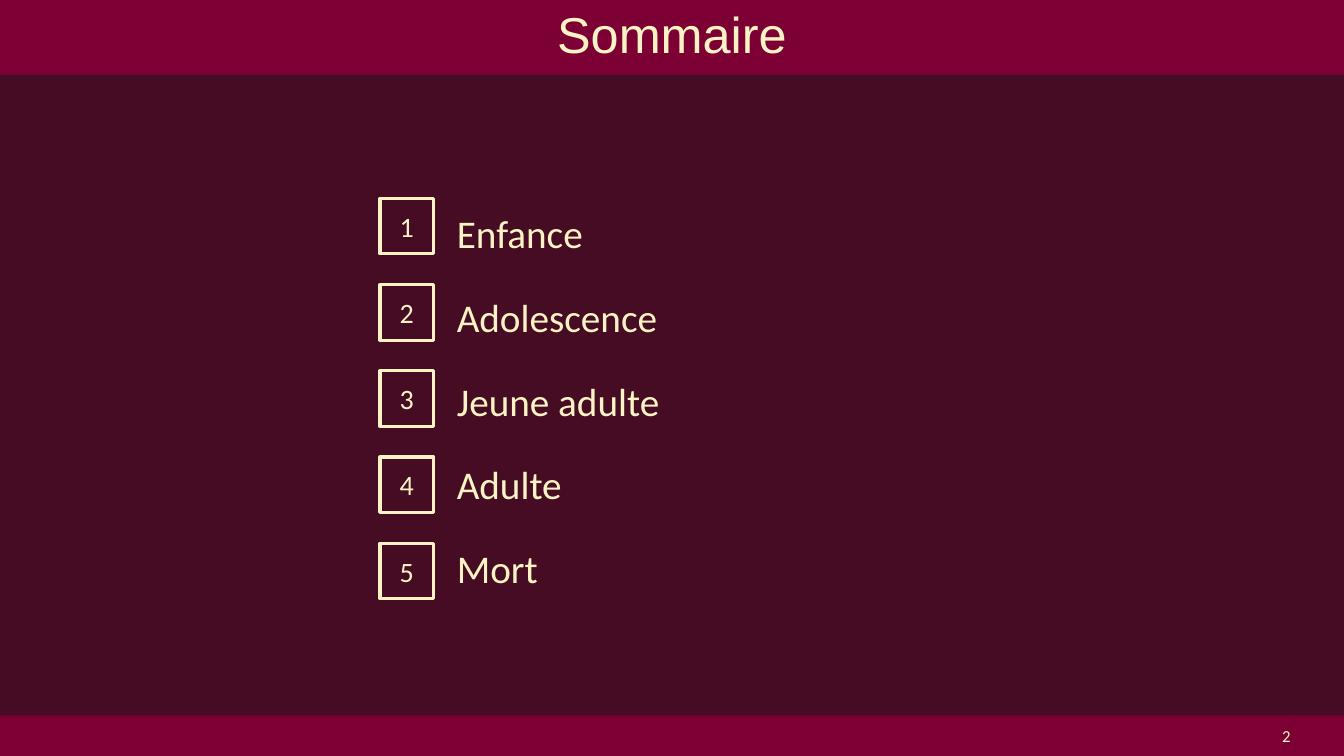
from dataclasses import dataclass

from pptx import Presentation
from pptx.dml.color import RGBColor
from pptx.enum.shapes import MSO_SHAPE
from pptx.enum.text import MSO_ANCHOR, PP_ALIGN
from pptx.util import Pt

RECT = MSO_SHAPE.RECTANGLE
MIDDLE = MSO_ANCHOR.MIDDLE
LEFT, CENTER, RIGHT = PP_ALIGN.LEFT, PP_ALIGN.CENTER, PP_ALIGN.RIGHT

COLORS = {"back": "460C24", "band": "7D0034", "cream": "FCF3C4"}
WIDTH, HEIGHT = 960, 540
TOPICS = ["Enfance", "Adolescence", "Jeune adulte", "Adulte", "Mort"]
FIRST, STEP = 141.8, 61.55  # top of the first number box, and pitch


@dataclass
class Box:
    """A place on the slide, in points."""
    left: float
    top: float
    width: float
    height: float

    def place(self) -> list:
        """Give the four lengths that python-pptx asks for."""
        return [Pt(n) for n in (self.left, self.top, self.width, self.height)]


HEAD = Box(0, 0, WIDTH, 53.3)
FOOT = Box(0, 511, WIDTH, 29)
LIST = Box(319.2, 75.6, 400, 404)
PAGE = Box(713, 511, 216, 29)


def color(name: str) -> RGBColor:
    """Look up a colour by name."""
    return RGBColor.from_string(COLORS[name])


def write(shape, lines: list, *, size: float, font: str = "Calibri",
          align=LEFT, spacing: float = 1.0, before: float = 0) -> None:
    """Write one paragraph per line, centred in height."""
    frame = shape.text_frame
    frame.word_wrap = True
    frame.vertical_anchor = MIDDLE
    frame.text = "\n".join(lines)
    for para in frame.paragraphs:
        para.alignment = align
        para.line_spacing = spacing
        para.space_before = Pt(before)
        para.font.size = Pt(size)
        para.font.name = font
        para.font.color.rgb = color("cream")


def add_band(slide, box: Box) -> None:
    """Draw a plain filled band."""
    band = slide.shapes.add_shape(RECT, *box.place())
    band.shadow.inherit = False
    band.fill.solid()
    band.fill.fore_color.rgb = color("band")
    band.line.fill.background()


def add_text(slide, box: Box, lines: list, **style) -> None:
    """Add a text box."""
    write(slide.shapes.add_textbox(*box.place()), lines, **style)


def add_badge(slide, index: int) -> None:
    """Draw the outlined number box of one topic."""
    box = Box(271.4, FIRST + index * STEP, 38.4, 39.6)
    badge = slide.shapes.add_shape(RECT, *box.place())
    badge.shadow.inherit = False
    badge.fill.background()
    badge.line.color.rgb = color("cream")
    badge.line.width = Pt(2.25)
    write(badge, [str(index + 1)], size=20, align=CENTER)


def main() -> None:
    """Build the contents slide."""
    deck = Presentation()
    deck.slide_width, deck.slide_height = Pt(WIDTH), Pt(HEIGHT)
    slide = deck.slides.add_slide(deck.slide_layouts[6])
    slide.background.fill.solid()
    slide.background.fill.fore_color.rgb = color("back")

    for box in (FOOT, HEAD):
        add_band(slide, box)
    add_text(slide, HEAD, ["Sommaire"], size=36, font="Arial",
             align=CENTER, spacing=0.9)
    add_text(slide, LIST, TOPICS, size=28, spacing=1.5, before=9.3)
    add_text(slide, PAGE, ["2"], size=12, align=RIGHT)
    for index in range(len(TOPICS)):
        add_badge(slide, index)
    deck.save("out.pptx")


main()
